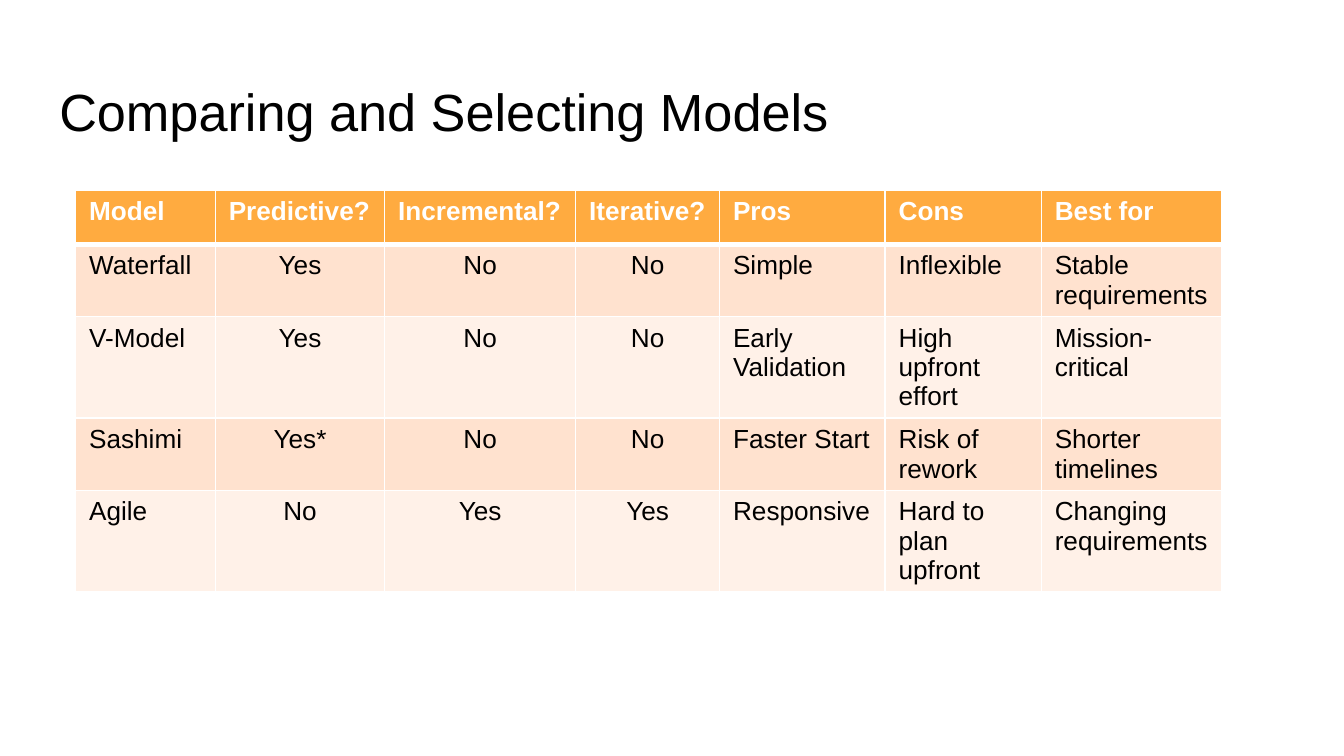
from lxml.etree import SubElement as Sub
from pptx import Presentation
from pptx.dml.color import RGBColor as RGB
from pptx.enum.text import MSO_ANCHOR as Anchor, MSO_AUTO_SIZE as Auto, PP_ALIGN as Align
from pptx.oxml.ns import qn
from pptx.util import Cm, Pt

BLACK = RGB(0, 0, 0)
WHITE = RGB(255, 255, 255)
ORANGE = RGB(0xFF, 0xAB, 0x40)
PEACH = RGB(0xFF, 0xE2, 0xCF)
CREAM = RGB(0xFF, 0xF1, 0xE8)

TITLE = "Comparing and Selecting Models"
MODELS = [
    ("Model", "Predictive?", "Incremental?", "Iterative?", "Pros", "Cons", "Best for"),
    ("Waterfall", "Yes", "No", "No", "Simple", "Inflexible", "Stable requirements"),
    ("V-Model", "Yes", "No", "No", "Early Validation", "High upfront effort", "Mission-critical"),
    ("Sashimi", "Yes*", "No", "No", "Faster Start", "Risk of rework", "Shorter timelines"),
    ("Agile", "No", "Yes", "Yes", "Responsive", "Hard to plan upfront", "Changing requirements"),
]
WIDTHS = [2.64, 3.2, 3.61, 2.72, 3.13, 2.95, 3.41]
CENTRED = (1, 2, 3)
ROW = 1.03
PAD = Cm(0.25)


def write(frame, text, size=14, color=BLACK, bold=False, align=Align.LEFT):
    para = frame.paragraphs[0]
    para.alignment = align
    run = para.add_run()
    run.text = text
    font = run.font
    font.name, font.size, font.bold = "Arial", Pt(size), bold
    font.color.rgb = color


def edge(cell, sides):
    props = cell._tc.get_or_add_tcPr()
    for side, width in sides.items():
        line = Sub(props, qn(f"a:ln{side}"), w=str(Pt(width)))
        fill = Sub(line, qn("a:solidFill"))
        Sub(fill, qn("a:srgbClr"), val=str(WHITE))


def add_title(slide):
    title = slide.shapes.title
    title.left, title.top = Cm(0.87), Cm(1.24)
    title.width, title.height = Cm(23.67), Cm(1.6)
    frame = title.text_frame
    frame.auto_size, frame.word_wrap = Auto.NONE, True
    frame.vertical_anchor = Anchor.TOP
    frame.margin_left = frame.margin_right = PAD
    frame.margin_top = frame.margin_bottom = PAD
    write(frame, TITLE, size=28)


def add_models(slide):
    shape = slide.shapes.add_table(
        len(MODELS), len(WIDTHS), Cm(1.43), Cm(3.59),
        Cm(sum(WIDTHS)), Cm(ROW * len(MODELS)))
    table = shape.table
    for col, width in zip(table.columns, WIDTHS):
        col.width = Cm(width)
    for r, model in enumerate(MODELS):
        table.rows[r].height = Cm(ROW)
        head = r == 0
        shade = ORANGE if head else (CREAM, PEACH)[r % 2]
        for c, text in enumerate(model):
            cell = table.cell(r, c)
            edge(cell, {"L": 1, "R": 1, "T": 3 if r == 1 else 1, "B": 3 if head else 1})
            cell.fill.solid()
            cell.fill.fore_color.rgb = shade
            mid = not head and c in CENTRED
            write(cell.text_frame, text, color=WHITE if head else BLACK,
                  bold=head, align=Align.CENTER if mid else Align.LEFT)


def main():
    deck = Presentation()
    deck.slide_width, deck.slide_height = Cm(25.4), Cm(14.29)
    slide = deck.slides.add_slide(deck.slide_layouts[5])
    add_title(slide)
    add_models(slide)
    deck.save("out.pptx")


if __name__ == "__main__":
    main()
